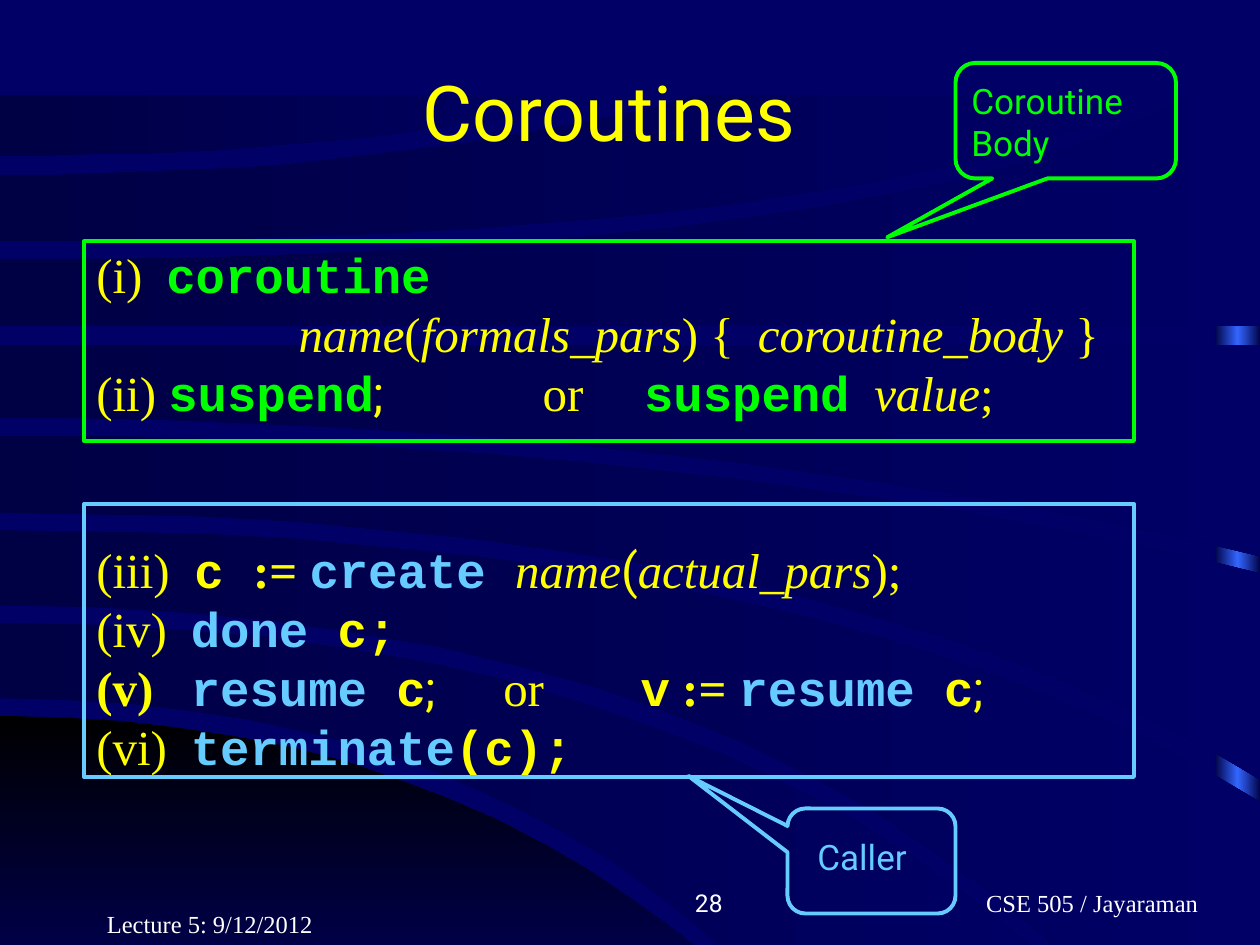
from copy import deepcopy

from lxml import etree
from pptx import Presentation
from pptx.dml.color import RGBColor
from pptx.enum.shapes import MSO_SHAPE
from pptx.enum.text import MSO_ANCHOR, PP_ALIGN
from pptx.oxml.ns import qn
from pptx.util import Pt

RECTANGLE = MSO_SHAPE.RECTANGLE
CALLOUT = MSO_SHAPE.ROUNDED_RECTANGULAR_CALLOUT
LEFT, CENTER, RIGHT = PP_ALIGN.LEFT, PP_ALIGN.CENTER, PP_ALIGN.RIGHT
TOP, MIDDLE, BOTTOM = MSO_ANCHOR.TOP, MSO_ANCHOR.MIDDLE, MSO_ANCHOR.BOTTOM

NAVY = RGBColor(0x00, 0x00, 0x66)
DARK_NAVY = RGBColor(0x00, 0x00, 0x44)
BRIGHT_BLUE = RGBColor(0x33, 0x66, 0xFF)
BLACK = RGBColor(0x00, 0x00, 0x00)
WHITE = RGBColor(0xFF, 0xFF, 0xFF)
YELLOW = RGBColor(0xFF, 0xFF, 0x00)
GREEN = RGBColor(0x00, 0xFF, 0x00)
SKY = RGBColor(0x66, 0xCC, 0xFF)

SANS, SERIF, MONO = "Roboto", "Times New Roman", "Courier New"
LINE_PITCH = 33.75
CURVE_STEPS = 16

# Each edge: height at the left, x where it bends, end point
MOUND = ((409, 284, 453, 595), (595, 227, 453, 595), [])
# Each band: upper edge, lower edge, corners between their right ends
BANDS = [
    ((356, 426, 644, 594), (399, 300, 463, 594), []),
    ((303, 470, 721, 459), (346, 440, 655, 594), [(721, 594)]),
    ((249, 392, 721, 328), (293, 470, 721, 446), []),
    ((197, 361, 721, 197), (239, 390, 721, 318), []),
    ((148, 520, 680, 54), (186, 361, 721, 186), [(721, 54)]),
    ((100, 231, 401, 54), (138, 500, 661, 54), []),
    ((54, 181, 361, 54), (89, 202, 361, 54), []),
]

# Kinds of span: font, colour, bold, italic
PLAIN = (SERIF, YELLOW, False, False)
STRONG = (SERIF, YELLOW, True, False)
ITALIC = (SERIF, YELLOW, False, True)
MARK = (SANS, YELLOW, False, False)
CODE = (MONO, YELLOW, True, False)
BODY_WORD = (MONO, GREEN, True, False)
CALL_WORD = (MONO, SKY, True, False)

# Each line: lines skipped above it, tab stops, spans
SYNTAX = [
    (0, [40], [("(i)\t", PLAIN), ("coroutine", BODY_WORD)]),
    (0, [115.5, 378], [("\tname", ITALIC), ("(", PLAIN), ("formals_pars", ITALIC),
                       (") {\t", PLAIN), ("coroutine_body", ITALIC), (" }", PLAIN)]),
    (0, [255, 313, 444.5], [("(ii) ", PLAIN), ("suspend", BODY_WORD), (";\t", MARK),
                            ("or\t", PLAIN), ("suspend\t", BODY_WORD),
                            ("value", ITALIC), (";", PLAIN)]),
    (2, [56], [("(iii)\t", PLAIN), ("c ", CODE), (":= ", STRONG), ("create ", CALL_WORD),
               ("name", ITALIC), ("(", MARK), ("actual_pars", ITALIC), (");", PLAIN)]),
    (0, [54], [("(iv)\t", PLAIN), ("done", CALL_WORD), (" c;", CODE)]),
    (0, [54, 232.5, 311], [("(v)\t", STRONG), ("resume ", CALL_WORD), ("c", CODE),
                           (";\t", MARK), ("or\t", PLAIN), ("v", CODE), (" := ", STRONG),
                           ("resume ", CALL_WORD), ("c", CODE), (";", MARK)]),
    (0, [54], [("(vi)\t", PLAIN), ("terminate", CALL_WORD), ("(c);", CODE)]),
]


def fill_gradient(shape, colors, angle=0):
    """Spread the colours evenly; the angle runs counter-clockwise."""
    shape.shadow.inherit = False
    shape.line.fill.background()
    shape.fill.gradient()
    shape.fill.gradient_angle = angle
    stops = shape.fill.gradient_stops
    if len(colors) > len(stops):
        first = shape._element.spPr.find(".//" + qn("a:gs"))
        first.addnext(deepcopy(first))
        stops = shape.fill.gradient_stops
    for index, (stop, color) in enumerate(zip(stops, colors)):
        stop.color.rgb = color
        stop.position = index / (len(colors) - 1)


def curve_points(start_y, bend_x, end_x, end_y):
    """Points of a quadratic curve that leaves the left side level."""
    points = []
    for step in range(CURVE_STEPS + 1):
        t = step / CURVE_STEPS
        x = 2 * t * (1 - t) * bend_x + t * t * end_x
        points.append((x, start_y + t * t * (end_y - start_y)))
    return points


def add_band(page, upper, lower, corners):
    points = curve_points(*upper) + corners + curve_points(*lower)[::-1]
    builder = page.shapes.build_freeform(*points[0], scale=Pt(1))
    builder.add_line_segments(points[1:], close=True)
    return builder.convert_to_shape()


def add_backdrop(page):
    page.background.fill.solid()
    page.background.fill.fore_color.rgb = NAVY
    strip = page.shapes.add_shape(RECTANGLE, Pt(694), Pt(55.5), Pt(26.5), Pt(540))
    fill_gradient(strip, [DARK_NAVY, BRIGHT_BLUE, DARK_NAVY])
    fill_gradient(add_band(page, *MOUND), [BLACK, NAVY], 270)
    for band in BANDS:
        fill_gradient(add_band(page, *band), [DARK_NAVY, NAVY])


def format_para(para, size, font, color, align):
    para.alignment = align
    para.font.size = Pt(size)
    para.font.name = font
    para.font.color.rgb = color


def add_title(page, text):
    title = page.shapes.title
    page.shapes._spTree.append(title._element)  # bring in front of the backdrop
    title.left, title.top, title.width, title.height = Pt(42), Pt(18), Pt(612), Pt(90)
    title.text_frame.text = text
    title.text_frame.vertical_anchor = MIDDLE
    format_para(title.text_frame.paragraphs[0], 44, SANS, YELLOW, CENTER)


def add_label(page, place, text, size, font, color, align=LEFT, anchor=TOP, wrap=True):
    box = page.shapes.add_textbox(*map(Pt, place))
    frame = box.text_frame
    frame.word_wrap = wrap
    frame.vertical_anchor = anchor
    frame.text = text
    for para in frame.paragraphs:
        format_para(para, size, font, color, align)
    return box


def add_frame(page, kind, place, color, adjustments=()):
    shape = page.shapes.add_shape(kind, *map(Pt, place))
    shape.shadow.inherit = False
    shape.fill.background()
    shape.line.color.rgb = color
    shape.line.width = Pt(2.25)
    for index, value in enumerate(adjustments):
        shape.adjustments[index] = value


def set_tabs(para, stops):
    tabs = etree.SubElement(para._p.get_or_add_pPr(), qn("a:tabLst"))
    for stop in stops:
        etree.SubElement(tabs, qn("a:tab"), pos=str(Pt(stop)), algn="l")


def add_syntax(page):
    box = page.shapes.add_textbox(Pt(48), Pt(102), Pt(624), Pt(343.5))
    frame = box.text_frame
    frame.word_wrap = True
    frame.margin_top = Pt(3.6 + LINE_PITCH)
    for index, (skipped, stops, spans) in enumerate(SYNTAX):
        para = frame.add_paragraph() if index else frame.paragraphs[0]
        para.line_spacing = Pt(LINE_PITCH)
        para.space_before = Pt(skipped * LINE_PITCH)
        set_tabs(para, stops)
        for text, (font, color, bold, italic) in spans:
            span = para.add_run()
            span.text = text
            span.font.size = Pt(28)
            span.font.name = font
            span.font.color.rgb = color
            span.font.bold = bold
            span.font.italic = italic


def main():
    deck = Presentation()
    deck.slide_width, deck.slide_height = Pt(720), Pt(540)
    page = deck.slides.add_slide(deck.slide_layouts[5])
    add_backdrop(page)
    course = add_label(page, (474, 492, 228, 36), "CSE 505 / Jayaraman", 14, SERIF, WHITE,
                       anchor=BOTTOM)
    course.text_frame.margin_left = Pt(89.5)
    add_label(page, (270, 492, 150, 36), "28", 14, SANS, WHITE, RIGHT, BOTTOM)
    add_title(page, "Coroutines")
    add_syntax(page)
    add_frame(page, RECTANGLE, (48, 138, 600, 114), GREEN)
    add_frame(page, CALLOUT, (546, 36, 126, 66), GREEN, (-0.81, 1.01, 0.17))
    add_label(page, (548, 42, 108, 55.5), "Coroutine\nBody", 20, SANS, GREEN, wrap=False)
    add_frame(page, RECTANGLE, (48, 288, 600, 156), SKY)
    add_frame(page, CALLOUT, (450, 462, 96, 60), SKY, (-1.09, -0.81, 0.17))
    add_label(page, (460, 474, 68.5, 31.5), "Caller", 20, SANS, SKY, wrap=False)
    add_label(page, (54, 504, 150, 36), "Lecture 5: 9/12/2012", 14, SERIF, WHITE, anchor=BOTTOM)
    deck.save("out.pptx")


if __name__ == "__main__":
    main()
